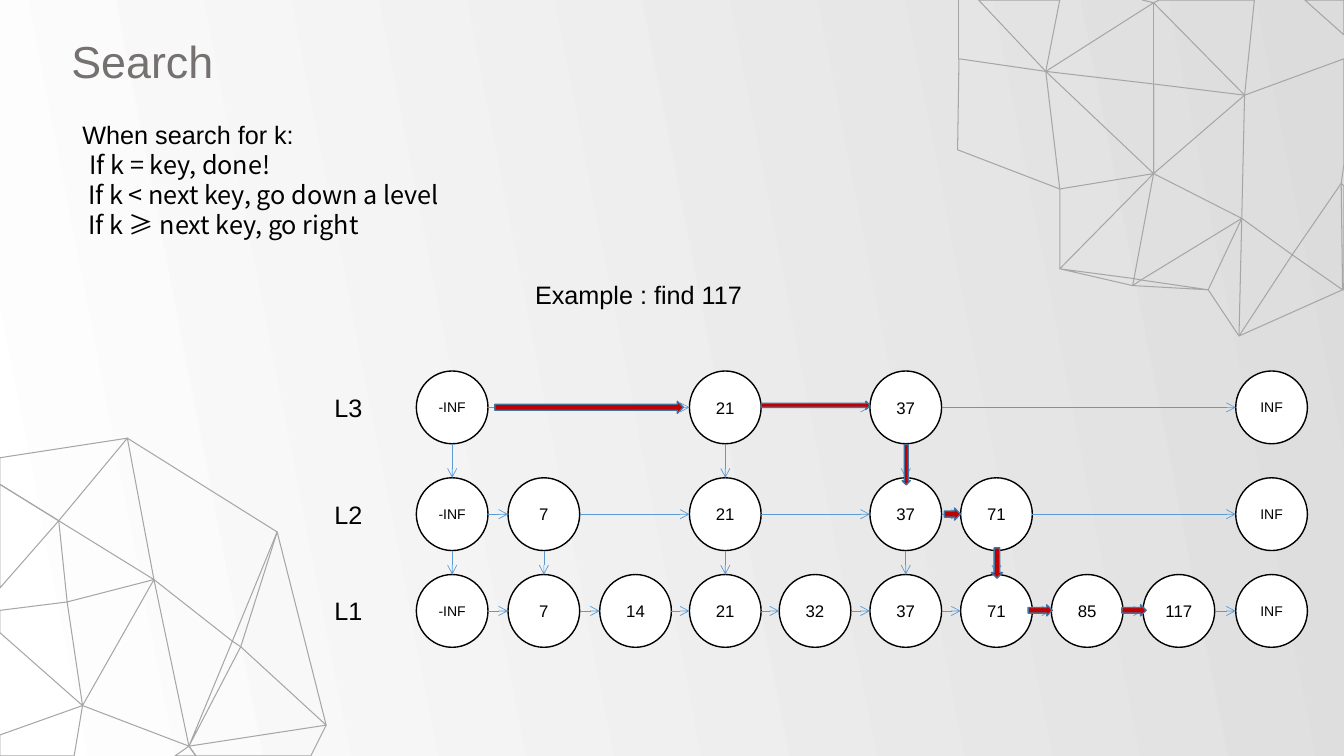
from lxml import etree
from pptx import Presentation
from pptx.dml.color import RGBColor
from pptx.enum.shapes import MSO_CONNECTOR, MSO_SHAPE
from pptx.enum.text import MSO_ANCHOR, PP_ALIGN
from pptx.oxml.ns import qn
from pptx.util import Pt

STRAIGHT = MSO_CONNECTOR.STRAIGHT
ELLIPSE, RIGHT_ARROW = MSO_SHAPE.OVAL, MSO_SHAPE.RIGHT_ARROW
MIDDLE, CENTER = MSO_ANCHOR.MIDDLE, PP_ALIGN.CENTER
LATIN, CJK = "Arial", "Noto Sans CJK SC"
COLORS = {name: RGBColor.from_string(value) for name, value in {
    "light": "FFFFFF", "shade": "DCDCDC", "mesh": "A6A6A6", "ink": "000000",
    "title": "767171", "link": "5B9BD5", "route": "C00000", "route_edge": "43739E",
}.items()}

prs = Presentation()
prs.slide_width, prs.slide_height = Pt(960), Pt(540)
slide = prs.slides.add_slide(prs.slide_layouts[6])
shapes = slide.shapes


def add_run(paragraph, text, size, font=LATIN, color="ink"):
    run = paragraph.add_run()
    run.text = text
    run.font.size = Pt(size)
    run.font.color.rgb = COLORS[color]
    run.font.name = font
    if font == CJK:
        etree.SubElement(run.font._element, qn("a:ea"), typeface=font)


def add_text(left, top, width, height, lines, size=18, color="ink"):
    box = shapes.add_textbox(Pt(left), Pt(top), Pt(width), Pt(height))
    box.text_frame.word_wrap = True
    for number, runs in enumerate(lines):
        paragraph = (box.text_frame.add_paragraph() if number
                     else box.text_frame.paragraphs[0])
        for text, font in runs:
            add_run(paragraph, text, size, font, color)


# Background gradient
background = slide.background.fill
background.gradient()
background.gradient_angle = 11
for stop, name in zip(background.gradient_stops, ("light", "shade")):
    stop.color.rgb = COLORS[name]

# Corner meshes: named vertices, then faces spelled with those names
left_mesh = (
    dict(a=(42, 372), b=(0, 420), c=(0, 346), d=(59, 504), e=(0, 452), f=(0, 436),
         g=(48, 430), h=(53, 540), i=(0, 540), j=(0, 525), k=(91, 313), l=(0, 327),
         m=(110, 414), n=(135, 533), o=(125, 540), p=(172, 462), q=(166, 458),
         r=(198, 380), s=(233, 518), t=(222, 540), u=(140, 540)),
    "abc defg dhij kacl mga ndm nou pnq rqmk spr stun")
right_mesh = (
    dict(a=(685, 0), b=(685, 42), c=(747, 51), d=(757, 135), e=(684, 107),
         f=(757, 192), g=(810, 199), h=(809, 204), i=(824, 2), j=(824, 124),
         k=(824, 60), l=(863, 207), m=(815, 200), n=(887, 156), o=(885, 240),
         p=(889, 68), q=(896, 0), r=(959, 207), s=(923, 182), t=(958, 131),
         u=(960, 133), v=(960, 207), w=(960, 117), x=(960, 42), y=(960, 25),
         z=(932, 0), A=(699, 0), B=(757, 0), C=(816, 0), D=(828, 0), E=(960, 0)),
    "ab cAB debc fgh ci iC jck jfd ki lhm nmgj nol pjk qpiD ros tuvr pxwtsn Eyz")
for vertices, faces in (left_mesh, right_mesh):
    outlines = [[vertices[name] for name in face] for face in faces.split()]
    builder = shapes.build_freeform(*outlines[0][0], scale=Pt(1))
    for number, outline in enumerate(outlines):
        if number:
            builder.move_to(*outline[0])
        builder.add_line_segments(outline[1:], close=True)
    mesh = builder.convert_to_shape()
    mesh.shadow.inherit = False
    mesh.fill.background()
    mesh.line.color.rgb = COLORS["mesh"]
    mesh.line.width = Pt(0.75)

# Skip list: a column for each key, a row for each level
NODE_W, NODE_H = 51.2, 52
column_left = {"-INF": 297.4, "7": 362.9, "14": 428.4, "21": 492.5, "32": 556.6,
               "37": 621.4, "71": 686.2, "85": 751, "117": 816.5, "INF": 882.7}
level_top = {"L3": 265, "L2": 341.3, "L1": 410.4}
level_keys = {"L3": ["-INF", "21", "37", "INF"],
              "L2": ["-INF", "7", "21", "37", "71", "INF"],
              "L1": list(column_left)}

# Nodes and level labels
for level, top in level_top.items():
    for key in level_keys[level]:
        node = shapes.add_shape(ELLIPSE, Pt(column_left[key]), Pt(top),
                                Pt(NODE_W), Pt(NODE_H))
        node.shadow.inherit = False
        node.fill.solid()
        node.fill.fore_color.rgb = COLORS["light"]
        node.line.color.rgb = COLORS["ink"]
        node.line.width = Pt(1)
        frame = node.text_frame
        frame.margin_left = frame.margin_right = 0
        frame.vertical_anchor = MIDDLE
        frame.paragraphs[0].alignment = CENTER
        add_run(frame.paragraphs[0], key, 10 if "INF" in key else 12)
    add_text(231.8, top + 11.5, 62.6, 29, [[(level, LATIN)]])

# Links to the next key, and down to the same key one level below
links = []
for level, top in level_top.items():
    keys = level_keys[level]
    middle = top + NODE_H / 2
    for key, next_key in zip(keys, keys[1:]):
        links.append((column_left[key] + NODE_W, middle, column_left[next_key], middle))
for upper, lower in (("L3", "L2"), ("L2", "L1")):
    for key in level_keys[upper][:-1]:
        center = column_left[key] + NODE_W / 2
        links.append((center, level_top[upper] + NODE_H, center, level_top[lower]))
for ends in links:
    link = shapes.add_connector(STRAIGHT, *map(Pt, ends))
    link.line.color.rgb = COLORS["link"]
    link.line.width = Pt(0.5)
    etree.SubElement(link.line._get_or_add_ln(), qn("a:tailEnd"), type="arrow")
    etree.SubElement(link._element.spPr, qn("a:effectLst"))

# Search route to 117: left, top, length, thickness, rotation
for left, top, length, thickness, rotation in (
        (353.5, 286.6, 134.6, 8.6, 0), (543.6, 286.6, 77.8, 5.8, 0),
        (632.9, 329, 28.8, 5.8, 90), (674.6, 362.9, 11.5, 8.6, 0),
        (701.3, 398.2, 21.6, 7.9, 90), (734.4, 432, 17.3, 7.9, 0),
        (801.4, 432, 17.3, 7.9, 0)):
    step = shapes.add_shape(RIGHT_ARROW, Pt(left), Pt(top), Pt(length), Pt(thickness))
    step.rotation = rotation
    step.shadow.inherit = False
    step.fill.solid()
    step.fill.fore_color.rgb = COLORS["route"]
    step.line.color.rgb = COLORS["route_edge"]
    step.line.width = Pt(1)

# Title, search rules and example
add_text(43.9, 20.2, 331, 46, [[("Search", LATIN)]], 32, "title")
add_text(51.8, 81.4, 433, 94.3, [
    [("When search for k:", LATIN)],
    [(" ", LATIN), ("If k = key, done!", CJK)],
    [(" If k < next key, go down a level", CJK)],
    [(" If k ≥ next key, go right", CJK)]])
add_text(375.1, 195.8, 386, 29, [[("Example : find 117", LATIN)]])

prs.save("out.pptx")
